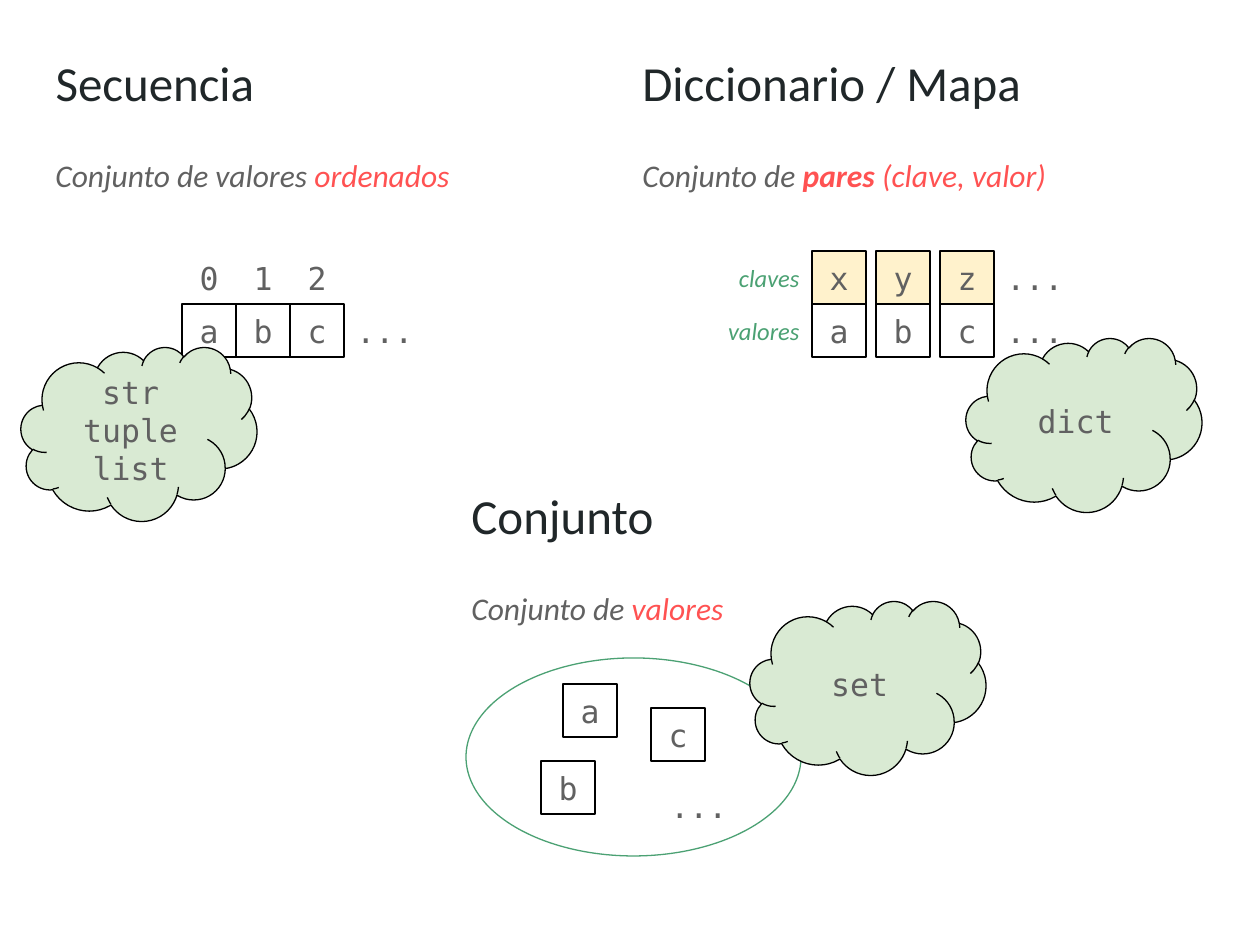
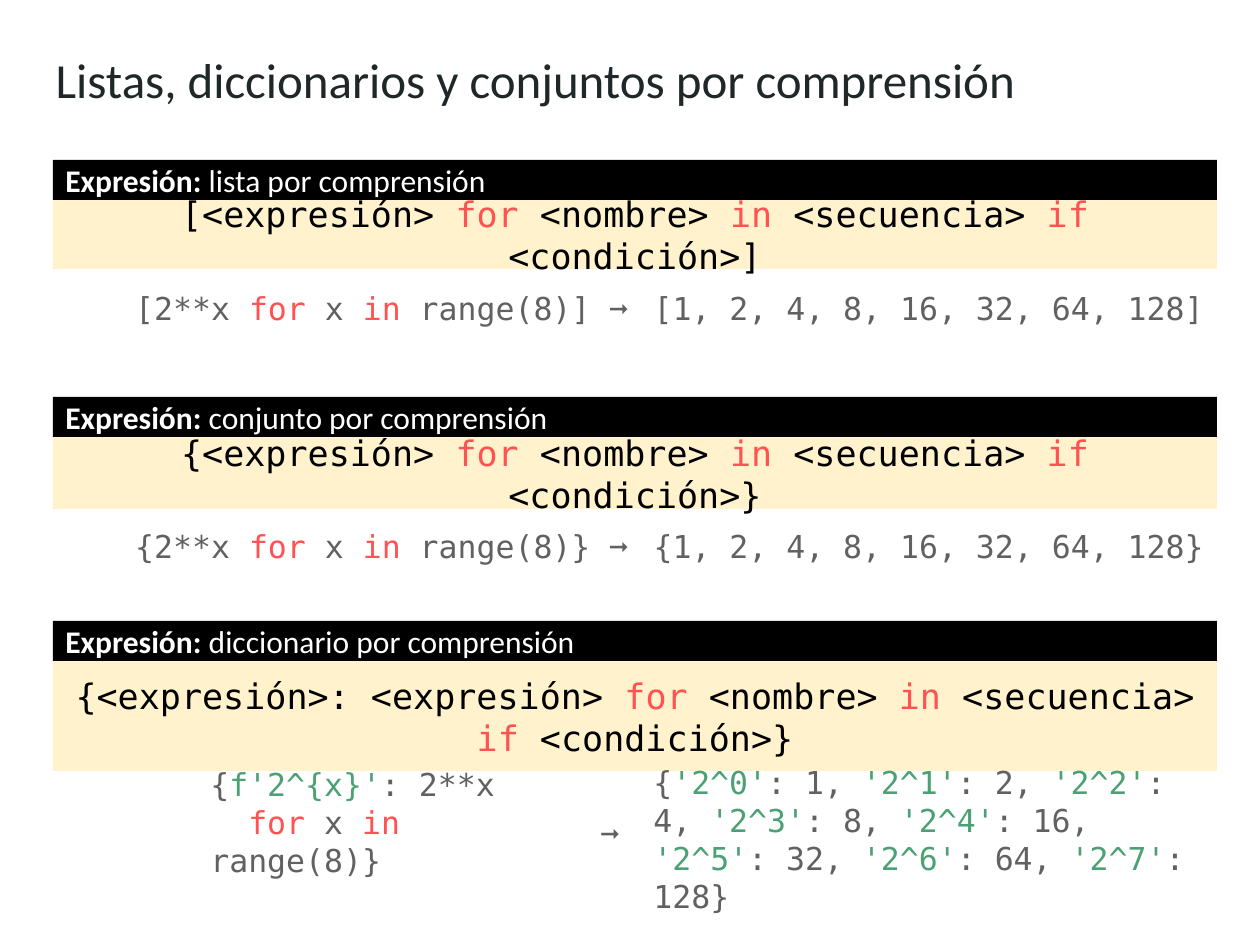
import pptx
import pptx.dml.color
import pptx.enum.shapes
import pptx.enum.text
import pptx.oxml.ns
import pptx.util
import lxml.etree

PX = 914400 / 126  # EMU in one px
SANS, MONO = "Calibri", "DejaVu Sans Mono"
INK, GRAY, RED, GREEN = "202729", "616161", "FF5252", "4BA173"
BLACK, WHITE, CREAM, MINT = "000000", "FFFFFF", "FFF2CC", "D9EAD3"
SHAPE = pptx.enum.shapes.MSO_SHAPE
ANCHOR = pptx.enum.text.MSO_ANCHOR
LEFT = pptx.enum.text.PP_ALIGN.LEFT
CENTER = pptx.enum.text.PP_ALIGN.CENTER
RIGHT = pptx.enum.text.PP_ALIGN.RIGHT


def rgb(value):
    return pptx.dml.color.RGBColor.from_string(value)


def put(slide, kind, box, paragraphs=(), size=18, font=MONO, color=GRAY, align=LEFT,
        anchor=ANCHOR.MIDDLE, italic=False, fill=None, line=None):
    """Place a text box (kind None), a preset shape or a placeholder.

    A paragraph is a list of runs; a run is text or (text, color, bold).
    """
    left, top, width, height = [round(length * PX) for length in box]
    if kind is None:
        shape = slide.shapes.add_textbox(left, top, width, height)
    elif isinstance(kind, SHAPE):
        shape = slide.shapes.add_shape(kind, left, top, width, height)
        shape.shadow.inherit = False
    else:
        shape = kind
        shape.left, shape.top, shape.width, shape.height = left, top, width, height
    if fill:
        shape.fill.solid()
        shape.fill.fore_color.rgb = rgb(fill)
    else:
        shape.fill.background()
    if line:
        shape.line.color.rgb = rgb(line)
        shape.line.width = pptx.util.Pt(0.75)
    else:
        shape.line.fill.background()

    frame = shape.text_frame
    frame.word_wrap = True
    frame.auto_size = pptx.enum.text.MSO_AUTO_SIZE.NONE
    frame.vertical_anchor = anchor
    frame.margin_left = frame.margin_right = pptx.util.Inches(0.1)
    frame.margin_top = frame.margin_bottom = pptx.util.Inches(0.1)
    for index, runs in enumerate(paragraphs):
        paragraph = frame.add_paragraph() if index else frame.paragraphs[0]
        paragraph.alignment = align
        paragraph.space_before = pptx.util.Pt(0)
        paragraph.font.name = font
        paragraph.font.size = pptx.util.Pt(size)
        paragraph.font.bold = False
        paragraph.font.italic = italic
        paragraph.font.color.rgb = rgb(color)
        if shape.is_placeholder:
            properties = paragraph._p.get_or_add_pPr()
            properties.set("marL", "0")
            properties.set("indent", "0")
            no_bullet = lxml.etree.Element(pptx.oxml.ns.qn("a:buNone"))
            properties.find(pptx.oxml.ns.qn("a:defRPr")).addprevious(no_bullet)
        for item in runs:
            text, run_color, bold = item if isinstance(item, tuple) else (item, None, None)
            run = paragraph.add_run()
            run.text = text
            if run_color:
                run.font.color.rgb = rgb(run_color)
            if bold:
                run.font.bold = True


presentation = pptx.Presentation()
presentation.slide_width = round(1260 * PX)
presentation.slide_height = round(945 * PX)
TITLE = dict(size=28, font=SANS, color=INK, anchor=ANCHOR.TOP)
CELL = dict(align=CENTER, line=BLACK)
CELL_WIDTH, CELL_HEIGHT, DOTS_WIDTH = 54, 53, 87

# Slide 1: the three kinds of collection
slide = presentation.slides.add_slide(presentation.slide_layouts[5])
sections = [
    (slide.shapes.title, 43, 40, 527, "Secuencia",
     ["Conjunto de valores ", ("ordenados", RED, False)]),
    (None, 630, 40, 587, "Diccionario / Mapa",
     ["Conjunto de ", ("pares ", RED, True), ("(clave, valor)", RED, False)]),
    (None, 459, 473, 335, "Conjunto",
     ["Conjunto de ", ("valores", RED, False)]),
]
for kind, left, top, width, name, definition in sections:
    put(slide, kind, (left, top, width, 105), [[name]], **TITLE)
    put(slide, None, (left, top + 103, width, 65), [definition],
        font=SANS, italic=True, anchor=ANCHOR.TOP)

# Sequence cells under their indices, dictionary values under their keys
KEYS_TOP, VALUES_TOP = 251, 304
for column, (position, key, value) in enumerate(zip("012", "xyz", "abc")):
    left = 182 + column * CELL_WIDTH
    put(slide, None, (left, KEYS_TOP, CELL_WIDTH, CELL_HEIGHT), [[position]], align=CENTER)
    put(slide, SHAPE.RECTANGLE, (left, VALUES_TOP, CELL_WIDTH, CELL_HEIGHT), [[value]], **CELL)
    left = 812 + column * 64
    put(slide, SHAPE.RECTANGLE, (left, VALUES_TOP, CELL_WIDTH, CELL_HEIGHT), [[value]], **CELL)
    put(slide, SHAPE.RECTANGLE, (left, KEYS_TOP, CELL_WIDTH, CELL_HEIGHT), [[key]],
        fill=CREAM, **CELL)
for label, top in (("claves", KEYS_TOP), ("valores", VALUES_TOP)):
    put(slide, None, (706, top, 106, CELL_HEIGHT), [[label]], size=14, font=SANS,
        color=GREEN, align=RIGHT, italic=True)

# Set members inside an ellipse
put(slide, SHAPE.OVAL, (466, 658, 335, 198), line=GREEN)
for member, left, top in (("a", 563, 684), ("b", 541, 761), ("c", 651, 708)):
    put(slide, SHAPE.RECTANGLE, (left, top, CELL_WIDTH, CELL_HEIGHT), [[member]], **CELL)

for left, top in ((344, VALUES_TOP), (994, KEYS_TOP), (994, VALUES_TOP), (658, 779)):
    put(slide, None, (left, top, DOTS_WIDTH, CELL_HEIGHT), [["..."]])

# Clouds with the type names
for left, top, type_names in ((21, 347, ("str", "tuple", "list")),
                              (966, 338, ("dict",)), (750, 601, ("set",))):
    put(slide, SHAPE.CLOUD, (left, top, 236, 174), [[name] for name in type_names],
        fill=MINT, **CELL)

# Slide 2: comprehensions
slide = presentation.slides.add_slide(presentation.slide_layouts[4])
put(slide, slide.shapes.title, (43, 37, 1174, 105),
    [["Listas, diccionarios y conjuntos por comprensión"]], **TITLE)
FOR, IN, IF = [(word, RED, False) for word in ("for", "in", "if")]

# Black header over a cream syntax band
bands = [
    ("lista", 160, 69, "[<expresión> ", "]"),
    ("conjunto", 397, 72, "{<expresión> ", "}"),
    ("diccionario", 621, 110, "{<expresión>: <expresión> ", "}"),
]
for name, top, height, opening, closing in bands:
    syntax = [opening, FOR, " <nombre> ", IN, " <secuencia> ", IF, " <condición>" + closing]
    put(slide, SHAPE.RECTANGLE, (53, top + 40, 1164, height), [syntax],
        size=20, color=BLACK, align=CENTER, fill=CREAM)
    put(slide, SHAPE.RECTANGLE, (53, top, 1164, 40),
        [[("Expresión:", WHITE, True), f" {name} por comprensión"]],
        font=SANS, color=WHITE, fill=BLACK)

# List and set examples, each with its result
RESULT_LEFT = 641
examples = [(1, 2, 270, "[", "]"), (3, 4, 508, "{", "}")]
for code_index, result_index, top, opening, closing in examples:
    put(slide, slide.placeholders[code_index], (9, top, RESULT_LEFT - 9, 76),
        [[opening + "2**x ", FOR, " x ", IN, f" range(8){closing} ➞"]], align=RIGHT)
    put(slide, slide.placeholders[result_index], (RESULT_LEFT, top, 606, 76),
        [[f"{opening}1, 2, 4, 8, 16, 32, 64, 128{closing}"]])

# Dictionary example
put(slide, None, (198, 784, 379, 76),
    [["{", ("f'2^{x}'", GREEN, False), ": 2**x"],
     [("  for", RED, False), " x ", IN, " range(8)}"]])
put(slide, None, (580, 795, 52, 76), [["➞"]], align=RIGHT)
result = ["{"]
for exponent in range(8):
    ending = "}" if exponent == 7 else ", "
    result += [(f"'2^{exponent}'", GREEN, False), f": {2 ** exponent}{ending}"]
put(slide, None, (RESULT_LEFT, 764, 568, 150), [result])

presentation.save("out.pptx")
